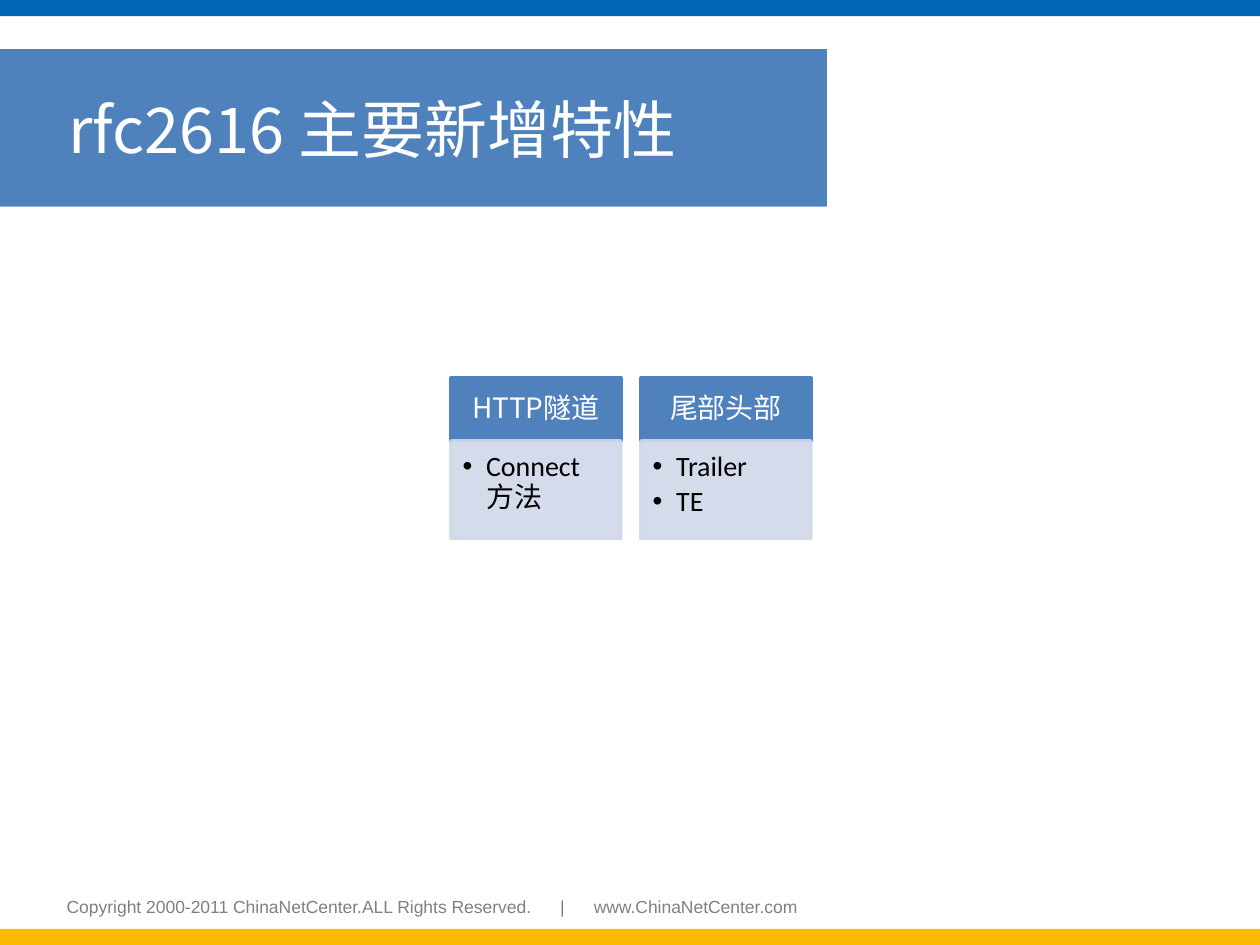
from dataclasses import dataclass
from typing import Optional

from lxml import etree
from pptx import Presentation
from pptx.dml.color import RGBColor
from pptx.enum import shapes, text
from pptx.oxml import ns
from pptx.util import Pt

BLUE, PALE, WHITE = "4F81BD", "D0D8E8", "FFFFFF"
CJK = "Noto Sans CJK SC"
PAGE_WIDTH, PAGE_HEIGHT, BAND_HEIGHT = 720, 540, 9.2
CARD_LEFT, CARD_TOP, CARD_PITCH, CARD_WIDTH = 257.6, 216, 108.6, 97.2
HEAD_HEIGHT, BODY_HEIGHT = 36, 55.7


@dataclass
class Area:
    left: float
    top: float
    width: float
    height: float


@dataclass
class TextStyle:
    font: str
    size: float
    color: str
    insets: tuple = (7.2, 3.6, 7.2, 3.6)
    anchor: text.MSO_ANCHOR = text.MSO_ANCHOR.MIDDLE
    align: text.PP_ALIGN = text.PP_ALIGN.LEFT
    line_spacing: float = 1.0
    space_after: float = 0
    bullet_indent: float = 0
    tabs: tuple = ()


@dataclass
class Card:
    heading: str
    items: list


TITLE = TextStyle(CJK, 36, WHITE, insets=(39.2, 3.6, 7.2, 3.6))
HEADING = TextStyle(CJK, 16, WHITE, insets=(9, 5.1, 9, 5.1),
                    align=text.PP_ALIGN.CENTER, line_spacing=0.9, space_after=5.6)
ITEM = TextStyle("Calibri", 16, "000000", insets=(6.7, 6.7, 9, 10.1),
                 anchor=text.MSO_ANCHOR.TOP, line_spacing=0.9, space_after=2.4,
                 bullet_indent=13.5)
FOOTER = TextStyle("Arial", 10, "808080", anchor=text.MSO_ANCHOR.TOP,
                   tabs=(282, 301.2))

CARDS = [Card("HTTP隧道", ["Connect方法"]), Card("尾部头部", ["Trailer", "TE"])]


def rgb(value: str) -> RGBColor:
    return RGBColor.from_string(value)


def set_all(target, values: dict) -> None:
    for name, value in values.items():
        setattr(target, name, value)


def add_child(parent, tag: str, **attributes):
    return etree.SubElement(parent, ns.qn(tag), attributes)


def write(box, lines: list, style: TextStyle) -> None:
    frame = box.text_frame
    left, top, right, bottom = map(Pt, style.insets)
    set_all(frame, dict(word_wrap=True, vertical_anchor=style.anchor,
                        margin_left=left, margin_top=top,
                        margin_right=right, margin_bottom=bottom))
    for index, line in enumerate(lines):
        para = frame.add_paragraph() if index else frame.paragraphs[0]
        properties = para._p.get_or_add_pPr()
        if style.bullet_indent:
            indent = Pt(style.bullet_indent)
            properties.set("marL", str(indent))
            properties.set("indent", str(-indent))
            add_child(properties, "a:buFont", typeface="Arial")
            add_child(properties, "a:buChar", char="•")
        if style.tabs:
            stops = add_child(properties, "a:tabLst")
            for position in style.tabs:
                add_child(stops, "a:tab", pos=str(Pt(position)), algn="l")
        set_all(para, dict(alignment=style.align, line_spacing=style.line_spacing,
                           space_after=Pt(style.space_after)))
        span = para.add_run()
        span.text = line
        set_all(span.font, dict(name=style.font, size=Pt(style.size)))
        span.font.color.rgb = rgb(style.color)
        add_child(span.font._element, "a:ea", typeface=CJK)


def add_block(page, area: Area, fill: str, line: Optional[str] = None,
              opacity: int = 100):
    """Draw a rectangle; opacity in percent covers both fill and line."""
    block = page.shapes.add_shape(shapes.MSO_SHAPE.RECTANGLE, Pt(area.left),
                                  Pt(area.top), Pt(area.width), Pt(area.height))
    block.shadow.inherit = False
    block.fill.solid()
    block.fill.fore_color.rgb = rgb(fill)
    if line:
        block.line.color.rgb = rgb(line)
        block.line.width = Pt(2)
    else:
        block.line.fill.background()
    if opacity < 100:
        for color in block._element.spPr.iter(ns.qn("a:srgbClr")):
            add_child(color, "a:alpha", val=str(opacity * 1000))
    return block


def add_card(page, card: Card, left: float) -> None:
    head = Area(left, CARD_TOP, CARD_WIDTH, HEAD_HEIGHT)
    body = Area(left, CARD_TOP + HEAD_HEIGHT, CARD_WIDTH, BODY_HEIGHT)
    write(add_block(page, head, BLUE, BLUE), [card.heading], HEADING)
    write(add_block(page, body, PALE, PALE, opacity=90), card.items, ITEM)


def main() -> None:
    deck = Presentation()
    set_all(deck, dict(slide_width=Pt(PAGE_WIDTH), slide_height=Pt(PAGE_HEIGHT)))
    page = deck.slides.add_slide(deck.slide_layouts[6])

    bands = [(PAGE_HEIGHT - BAND_HEIGHT, "F9BB00"), (0, "0066B3")]
    for top, color in bands:
        add_block(page, Area(0, top, PAGE_WIDTH, BAND_HEIGHT), color)

    footer = page.shapes.add_textbox(Pt(31), Pt(508.3), Pt(438.5), Pt(31.7))
    write(footer, ["Copyright 2000-2011 ChinaNetCenter.ALL Rights Reserved."
                   "\t|\twww.ChinaNetCenter.com"], FOOTER)

    banner = add_block(page, Area(0, 28.1, 472.5, 90), BLUE)
    write(banner, ["rfc2616 主要新增特性"], TITLE)

    for index, card in enumerate(CARDS):
        add_card(page, card, CARD_LEFT + index * CARD_PITCH)

    deck.save("out.pptx")


if __name__ == "__main__":
    main()
